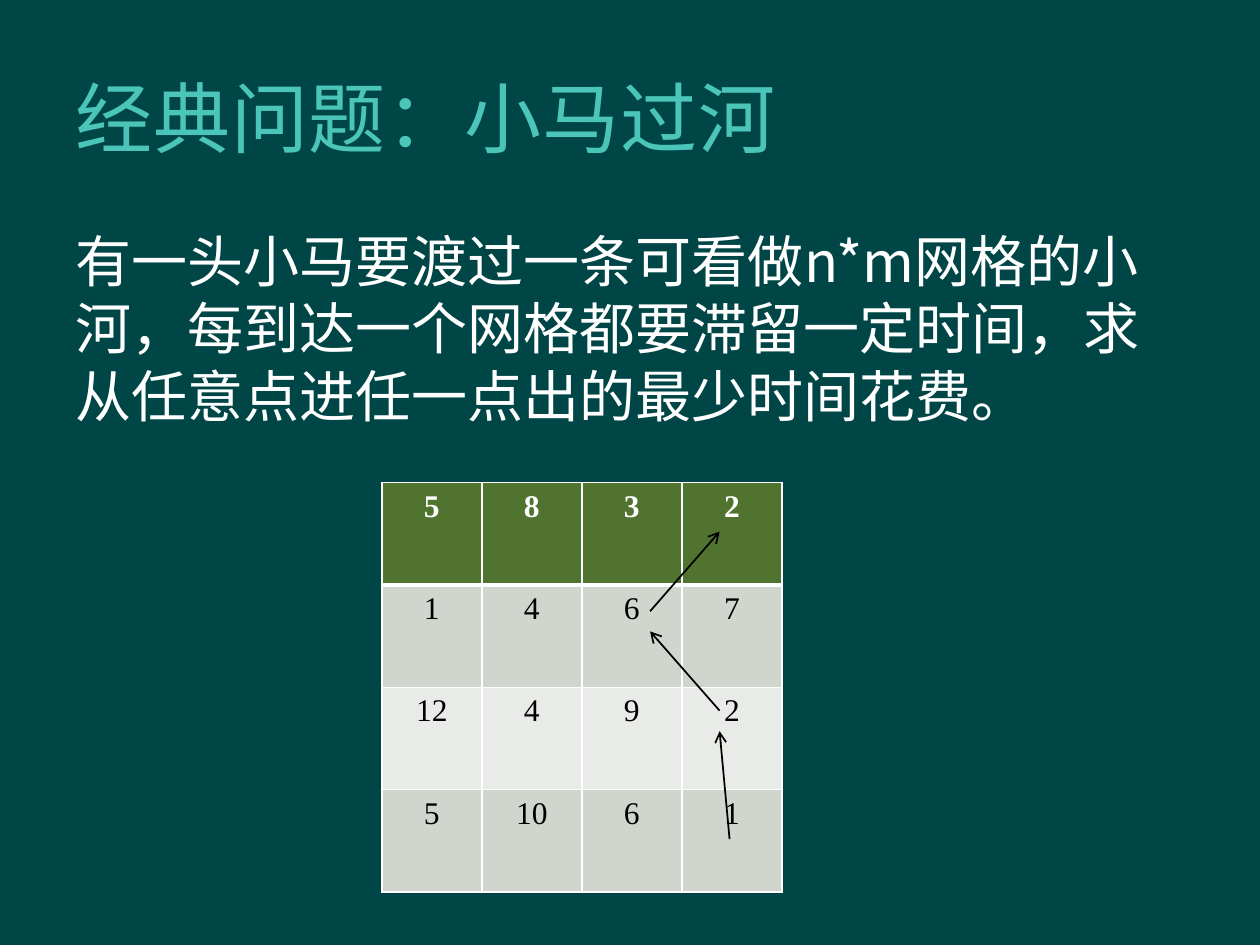
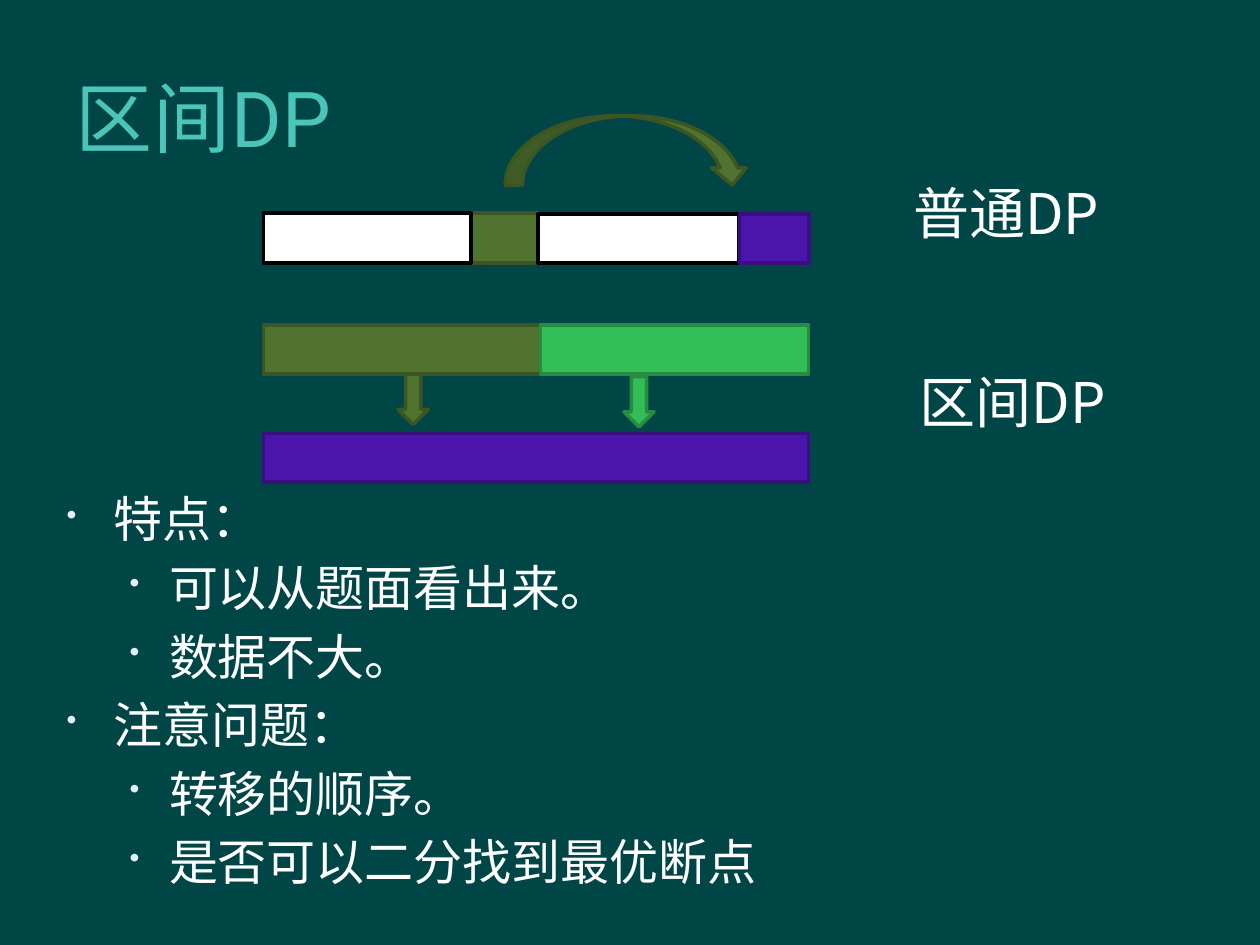
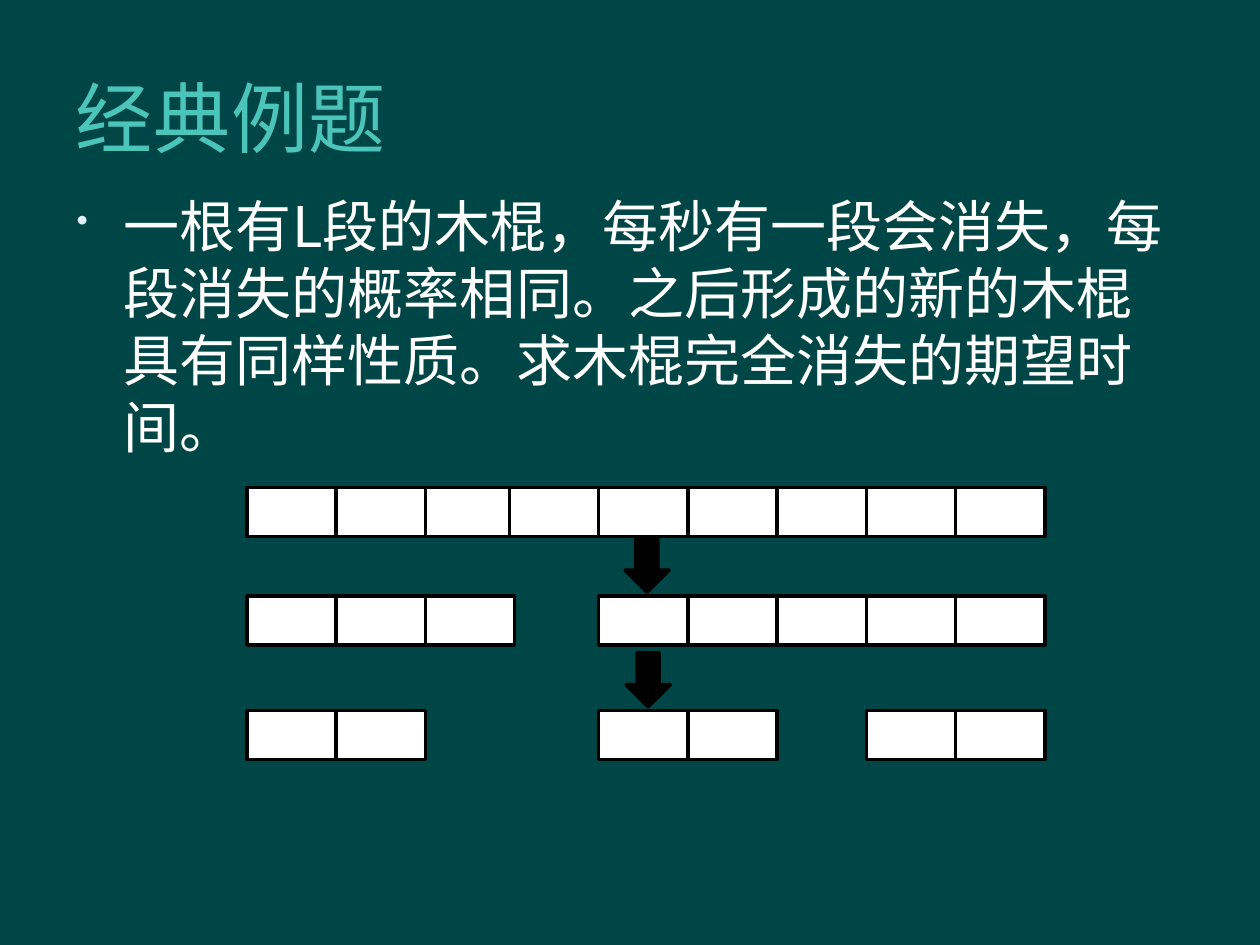
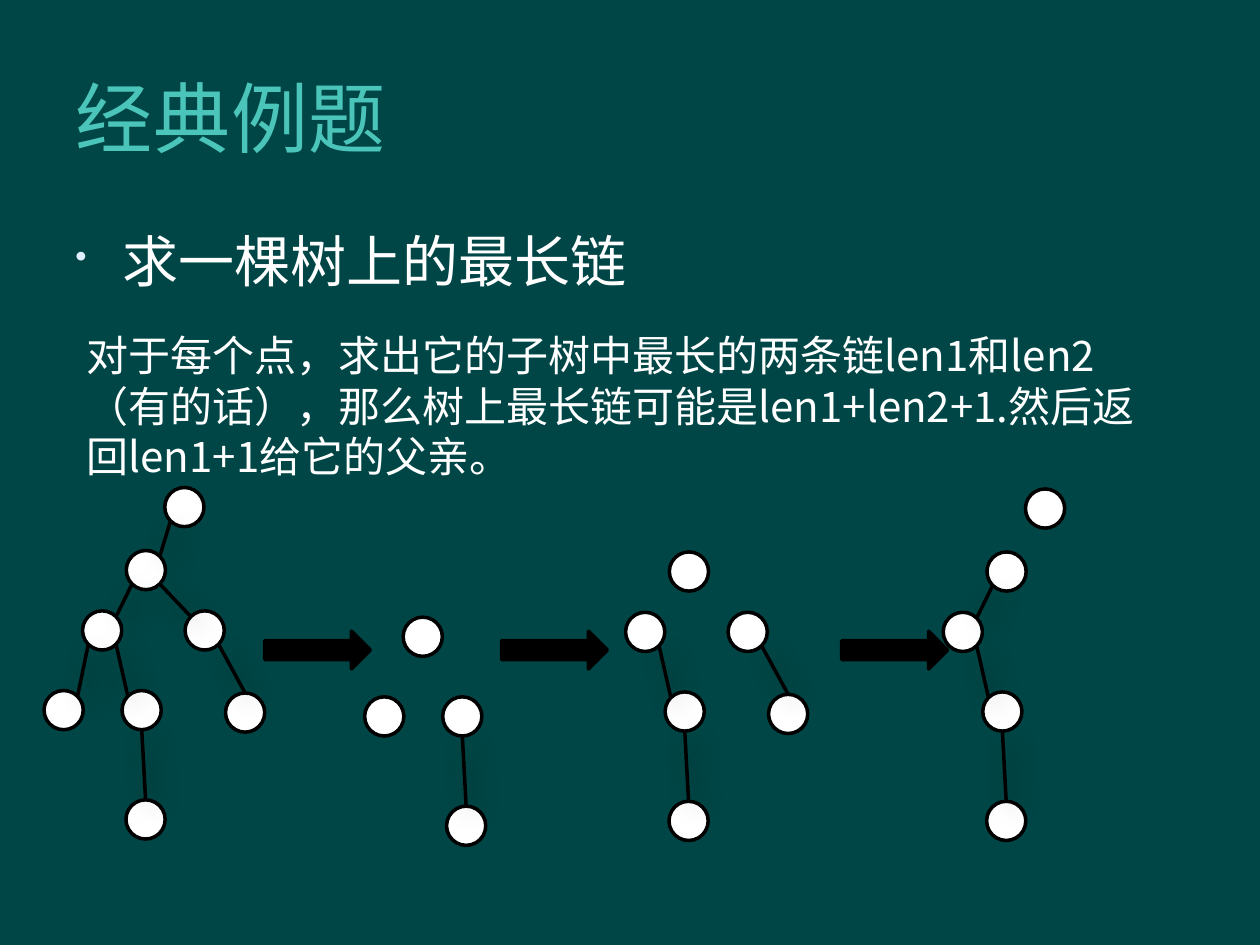
import math

from lxml import etree
from pptx import Presentation, util as u
from pptx.dml.color import RGBColor
from pptx.enum import shapes, text
from pptx.oxml import ns

BACKGROUND, TITLE_COLOR, BULLET_COLOR = "004646", "4BC5B9", "E1F0FF"
WHITE, BLACK = "FFFFFF", "000000"
# Fill and outline of each kind of block
PLAIN, SOLID = (WHITE, BLACK), (BLACK, BLACK)
OLIVE, GREEN, PURPLE = ("50742F", "3B5623"), ("33BD56", "268C40"), ("4B14AA", "370F7E")
BODY_FONT, TITLE_FONT, TABLE_FONT = "Noto Sans CJK SC", "Roboto", "Times New Roman"
SHAPE = shapes.MSO_SHAPE


def color(value):
    return RGBColor.from_string(value)


def points(*lengths):
    return [u.Pt(length) for length in lengths]


def child(parent, tag, **attributes):
    return etree.SubElement(parent, ns.qn(tag), attributes)


def style_paragraph(paragraph, font, size, tint, bold=False):
    paragraph.font.name = font
    paragraph.font.size = u.Pt(size)
    paragraph.font.color.rgb = color(tint)
    paragraph.font.bold = bold
    properties = paragraph._p.get_or_add_pPr().find(ns.qn("a:defRPr"))
    child(properties, "a:ea", typeface=font)
    return properties


def add_bullet(paragraph, level):
    left, hanging = ((27, 27), (58.5, 22.5))[level]
    paragraph.level = level
    properties = paragraph._p.get_or_add_pPr()
    properties.set("marL", str(u.Pt(left)))
    properties.set("indent", str(-u.Pt(hanging)))
    tint = child(properties, "a:buClr")
    child(tint, "a:srgbClr", val=BULLET_COLOR)
    size = child(properties, "a:buSzPct", val="60000")
    mark = child(properties, "a:buChar", char="•")
    run_defaults = properties.find(ns.qn("a:defRPr"))
    for part in (tint, size, mark):
        run_defaults.addprevious(part)


def add_frame(slide, box):
    frame = slide.shapes.add_textbox(*points(*box)).text_frame
    frame.word_wrap = True
    return frame


def add_text(slide, box, lines, size, bullets=False):
    """Each line is a pair of level and wording."""
    frame = add_frame(slide, box)
    for index, (level, wording) in enumerate(lines):
        paragraph = frame.paragraphs[0] if index == 0 else frame.add_paragraph()
        paragraph.text = wording
        paragraph.line_spacing = u.Pt(round(size * 1.2, 1))
        paragraph.space_before = u.Pt(size * 0.2 if index else 0)
        style_paragraph(paragraph, BODY_FONT, size, WHITE)
        if bullets:
            add_bullet(paragraph, level)


def add_block(slide, kind, box, colors):
    shape = slide.shapes.add_shape(kind, *points(*box))
    shape.shadow.inherit = False
    fill, outline = colors
    shape.fill.solid()
    shape.fill.fore_color.rgb = color(fill)
    shape.line.color.rgb = color(outline)
    shape.line.width = u.Pt(2)


def add_line(slide, start, end, width, arrow=False, shadow=False):
    line = slide.shapes.add_connector(
        shapes.MSO_CONNECTOR.STRAIGHT, *points(*start, *end))
    line.line.color.rgb = color(BLACK)
    line.line.width = u.Pt(width)
    if arrow:
        child(line.line._get_or_add_ln(), "a:tailEnd", type="arrow")
    effects = child(line._element.spPr, "a:effectLst")
    if shadow:
        outer = child(effects, "a:outerShdw", blurRad=str(u.Pt(15)),
                      dist=str(u.Pt(6.2)), dir="2700000")
        tint = child(outer, "a:srgbClr", val=BLACK)
        child(tint, "a:alpha", val="36000")


def add_titled_slide(presentation, title):
    slide = presentation.slides.add_slide(presentation.slide_layouts[6])
    slide.background.fill.solid()
    slide.background.fill.fore_color.rgb = color(BACKGROUND)
    frame = add_frame(slide, (36, 21.6, 612, 90))
    frame.vertical_anchor = text.MSO_ANCHOR.MIDDLE
    frame.text = title
    style_paragraph(frame.paragraphs[0], TITLE_FONT, 44, TITLE_COLOR).set("spc", "50")
    return slide


# River crossing grid

def set_borders(cell, bottom):
    properties = cell._tc.get_or_add_tcPr()
    widths = {"a:lnL": 1, "a:lnR": 1, "a:lnT": 1, "a:lnB": bottom}
    for index, (side, width) in enumerate(widths.items()):
        border = etree.Element(ns.qn(side), w=str(u.Pt(width)))
        child(child(border, "a:solidFill"), "a:srgbClr", val=WHITE)
        properties.insert(index, border)


def add_river_grid(slide, box):
    left, top, width, height = box
    times = ((5, 8, 3, 2), (1, 4, 6, 7), (12, 4, 9, 2), (5, 10, 6, 1))
    row_fills = (OLIVE[0], "D0D6CD", "E9EBE8", "D0D6CD")
    table = slide.shapes.add_table(4, 4, *points(*box)).table
    for row, (values, fill) in enumerate(zip(times, row_fills)):
        table.rows[row].height = u.Pt(height / 4)
        table.columns[row].width = u.Pt(width / 4)
        header = row == 0
        for column, value in enumerate(values):
            cell = table.cell(row, column)
            cell.text = str(value)
            cell.fill.solid()
            cell.fill.fore_color.rgb = color(fill)
            set_borders(cell, 3 if header else 1)
            paragraph = cell.text_frame.paragraphs[0]
            paragraph.alignment = text.PP_ALIGN.CENTER
            style_paragraph(paragraph, TABLE_FONT, 18, WHITE if header else BLACK, header)
    # Steps of the path, from the bottom bank to the top one
    steps = (((198.7, 203.7), (193, 142)), ((193, 130.3), (153.3, 85)),
             ((153.3, 73.5), (193, 28)))
    for step in steps:
        start, end = [(left + x, top + y) for x, y in step]
        add_line(slide, start, end, 1, arrow=True)


# Interval comparison

def add_interval_diagram(slide, left, top):
    blocks = (
        # One state passes to another
        (SHAPE.RECTANGLE, (118.8, 55.4, 38.2, 28.8), OLIVE),
        (SHAPE.RECTANGLE, (157, 56.2, 114.5, 28), PLAIN),
        (SHAPE.RECTANGLE, (272, 56.2, 39.7, 28), PURPLE),
        (SHAPE.CURVED_DOWN_ARROW, (138.2, 0, 139.7, 39.6), OLIVE),
        (SHAPE.RECTANGLE, (0, 55.4, 118.8, 28.8), PLAIN),
        # Two intervals merge into one
        (SHAPE.RECTANGLE, (0, 119.5, 158.4, 28), OLIVE),
        (SHAPE.RECTANGLE, (158.4, 119.5, 153.3, 28), GREEN),
        (SHAPE.RECTANGLE, (0, 181.4, 311.7, 28), PURPLE),
        (SHAPE.DOWN_ARROW, (77, 147.6, 17.3, 28.8), OLIVE),
        (SHAPE.DOWN_ARROW, (206, 149, 17.3, 28.8), GREEN),
    )
    for kind, (x, y, width, height), colors in blocks:
        add_block(slide, kind, (left + x, top + y, width, height), colors)


# Vanishing stick

def add_stick_stages(slide, left, top):
    width, height, overlap = 51, 28, 3
    stages = ((0, "xxxxxxxxx"), (62, "xxx.xxxxx"), (127.4, "xx..xx.xx"))
    for y, segments in stages:
        for column, segment in enumerate(segments):
            if segment == "x":
                x = column * width - (overlap if column >= 3 else 0)
                add_block(slide, SHAPE.RECTANGLE, (left + x, top + y, width, height), PLAIN)
    for x, y in ((216, 28.8), (216.7, 94.3)):
        add_block(slide, SHAPE.DOWN_ARROW, (left + x, top + y, 25.2, 31), SOLID)


# Longest chain in a tree

NODE_SIZE = 22.4
NODES = {"A": (69, 0), "B": (47, 36), "C": (22, 70.5), "D": (80.6, 70.5),
         "E": (0, 116), "F": (44.6, 116), "G": (46.8, 178.5), "H": (103.7, 117.4)}
# Angles at which each edge leaves its parent and meets its child
EDGES = {"AB": (135, -45), "BC": (135, -45), "CE": (135, -45), "CF": (45, -135),
         "FG": (90, -90), "BD": (45, -135), "DH": (45, -90)}


def add_tree(slide, left, top, nodes, edges):
    radius = NODE_SIZE / 2

    def rim_point(name, angle):
        x, y = NODES[name]
        turn = math.radians(angle)
        return (left + x + radius * (1 + math.cos(turn)),
                top + y + radius * (1 + math.sin(turn)))

    for name in nodes:
        x, y = NODES[name]
        add_block(slide, SHAPE.OVAL, (left + x, top + y, NODE_SIZE, NODE_SIZE), PLAIN)
    for edge in edges:
        start, end = map(rim_point, edge, EDGES[edge])
        add_line(slide, start, end, 2, shadow=True)


# Slides

def build_river_slide(presentation):
    slide = add_titled_slide(presentation, "经典问题：小马过河")
    add_text(slide, (36, 126, 648, 126.7), [
        (0, "有一头小马要渡过一条可看做n*m网格的小河，每到达一个网格都要滞留一定时间，"
            "求从任意点进任一点出的最少时间花费。")], 32)
    add_river_grid(slide, (218.2, 275.8, 228.6, 234))


def build_interval_slide(presentation):
    slide = add_titled_slide(presentation, "区间DP")
    add_text(slide, (31, 275.8, 648, 181.4), [
        (0, "特点："), (1, "可以从题面看出来。"), (1, "数据不大。"),
        (0, "注意问题："), (1, "转移的顺序。"), (1, "是否可以二分找到最优断点")],
        28, bullets=True)
    add_interval_diagram(slide, 150.5, 66.2)
    add_text(slide, (514.8, 98.6, 141.8, 46), [(0, "普通DP")], 32)
    add_text(slide, (518.4, 206.6, 134.6, 46), [(0, "区间DP")], 32)


def build_stick_slide(presentation):
    slide = add_titled_slide(presentation, "经典例题")
    add_text(slide, (36.7, 105.8, 648, 126.7), [
        (0, "一根有L段的木棍，每秒有一段会消失，每段消失的概率相同。"
            "之后形成的新的木棍具有同样性质。求木棍完全消失的期望时间。")], 32, bullets=True)
    add_stick_stages(slide, 141.1, 278.6)


def build_tree_slide(presentation):
    slide = add_titled_slide(presentation, "经典例题")
    add_text(slide, (36, 126, 648, 59), [(0, "求一棵树上的最长链")], 32, bullets=True)
    add_text(slide, (42.5, 185, 617.8, 94.3), [
        (0, "对于每个点，求出它的子树中最长的两条链len1和len2（有的话），"
            "那么树上最长链可能是len1+len2+1.然后返回len1+1给它的父亲。")], 24)
    add_tree(slide, 25.2, 278.6, NODES, EDGES)
    add_tree(slide, 208.4, 282.2, "CEFG", ["FG"])
    add_tree(slide, 335.5, 279.4, "BDCFGH", ["CF", "FG", "DH"])
    add_tree(slide, 517, 279.4, "ABCFG", ["BC", "CF", "FG"])
    for left in (151.2, 286.6, 481):
        add_block(slide, SHAPE.RIGHT_ARROW, (left, 360.7, 60.5, 21.6), SOLID)


def main():
    presentation = Presentation()
    presentation.slide_width, presentation.slide_height = points(720, 540)
    build_river_slide(presentation)
    build_interval_slide(presentation)
    build_stick_slide(presentation)
    build_tree_slide(presentation)
    presentation.save("out.pptx")


if __name__ == "__main__":
    main()
